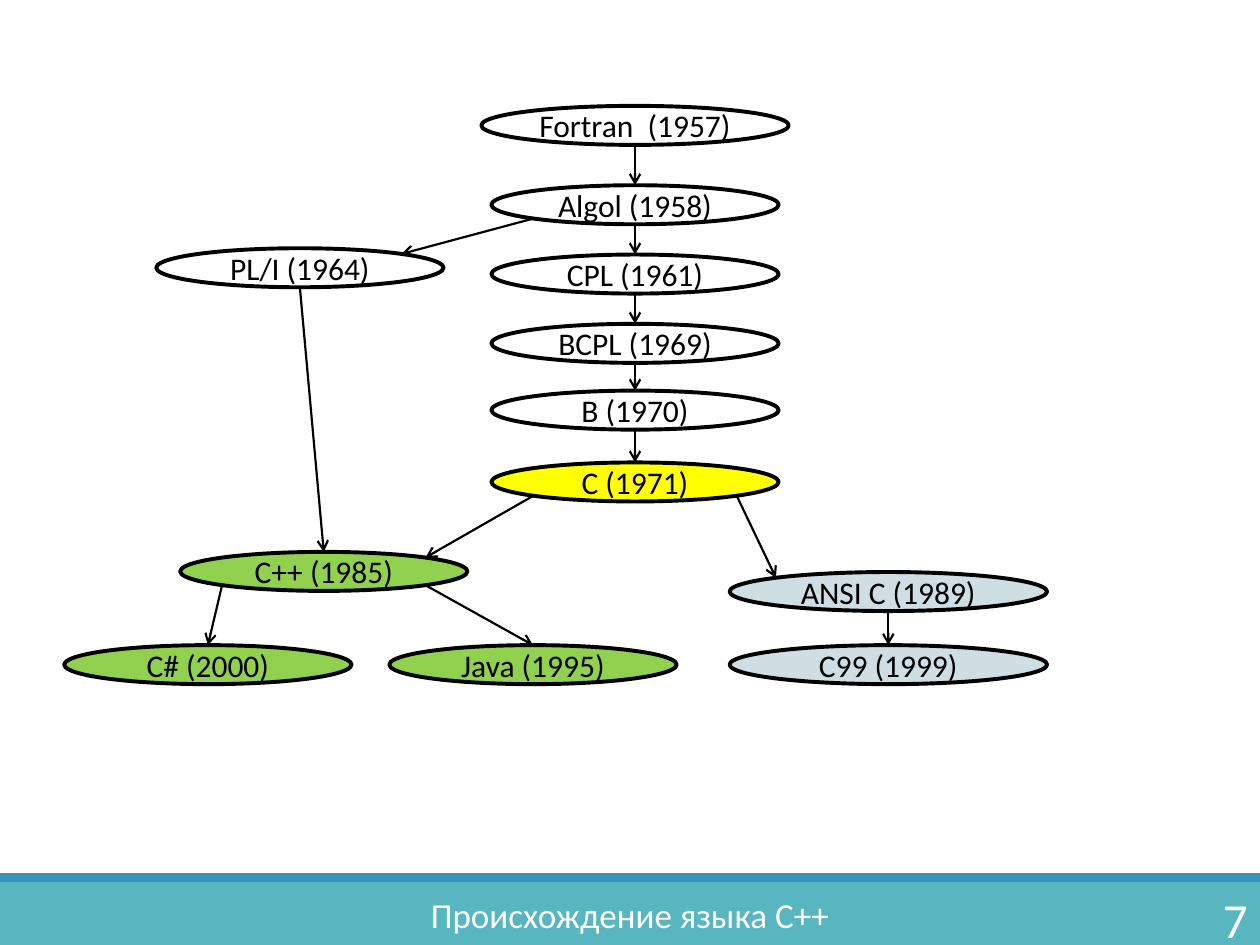
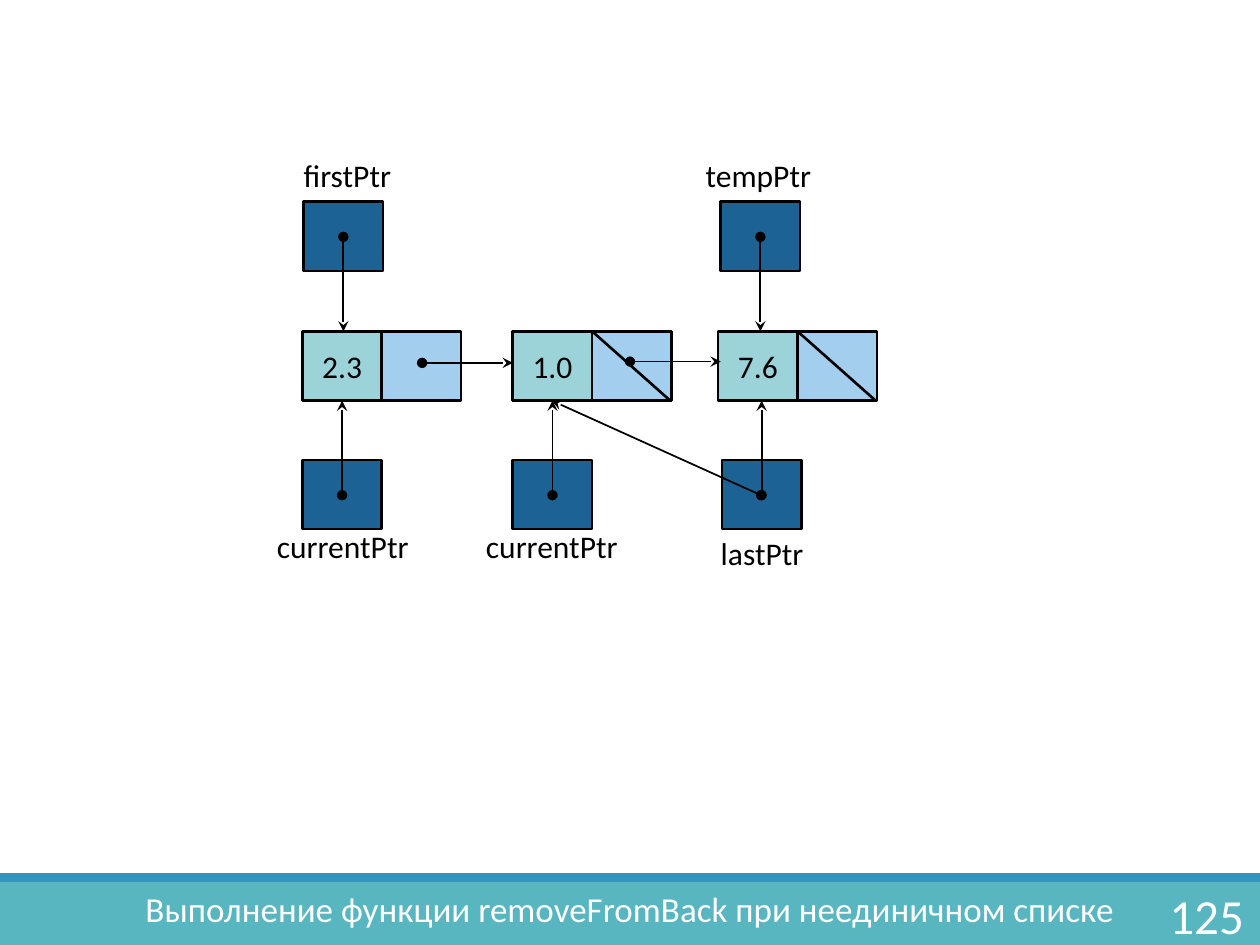
from lxml import etree
from pptx import Presentation
from pptx.dml.color import RGBColor
from pptx.enum.shapes import MSO_CONNECTOR, MSO_SHAPE
from pptx.enum.text import MSO_ANCHOR, PP_ALIGN
from pptx.oxml.ns import qn
from pptx.util import Emu, Pt

RECTANGLE, OVAL = MSO_SHAPE.RECTANGLE, MSO_SHAPE.OVAL
STRAIGHT = MSO_CONNECTOR.STRAIGHT
LEFT, CENTER, RIGHT = PP_ALIGN.LEFT, PP_ALIGN.CENTER, PP_ALIGN.RIGHT
TOP, MIDDLE = MSO_ANCHOR.TOP, MSO_ANCHOR.MIDDLE

EMU_PER_PX = 9144
SLIDE_WIDTH, SLIDE_HEIGHT = 1000, 750
FONT = "Calibri"
BLACK, WHITE = "000000", "FFFFFF"
BAND, STRIPE = "58B6C0", "3494BA"
YELLOW, GREEN, GRAY = "FFFF00", "92D050", "CEDEE2"
POINTER_FILL, VALUE_FILL, LINK_FILL = "1D6294", "9BD3D9", "A3CEED"
NO_MARGINS = dict.fromkeys(("margin_left", "margin_top", "margin_right", "margin_bottom"), 0)

OVAL_HEIGHT = 31
DIAGONAL = 0.146
SITES = {
    "top": (0.5, 0), "bottom": (0.5, 1),
    "top left": (DIAGONAL, DIAGONAL), "top right": (1 - DIAGONAL, DIAGONAL),
    "bottom left": (DIAGONAL, 1 - DIAGONAL), "bottom right": (1 - DIAGONAL, 1 - DIAGONAL),
}
LANGUAGES = {
    "Fortran": ("Fortran  (1957)", 382, 84, 244, WHITE),
    "Algol": ("Algol (1958)", 390, 147, 228, WHITE),
    "CPL": ("CPL (1961)", 390, 202, 228, WHITE),
    "BCPL": ("BCPL (1969)", 390, 257, 228, WHITE),
    "B": ("B (1970)", 390, 310, 228, WHITE),
    "C": ("C (1971)", 390, 367, 228, YELLOW),
    "PL/I": ("PL/I (1964)", 124, 197, 228, WHITE),
    "C++": ("C++ (1985)", 143, 438, 228, GREEN),
    "C#": ("C# (2000)", 51, 512, 228, GREEN),
    "ANSI C": ("ANSI C (1989)", 579, 454, 252, GRAY),
    "C99": ("C99 (1999)", 579, 512, 252, GRAY),
    "Java": ("Java (1995)", 309, 512, 228, GREEN),
}
DESCENTS = [
    ("Fortran", "bottom", "Algol", "top"),
    ("Algol", "bottom", "CPL", "top"),
    ("CPL", "bottom", "BCPL", "top"),
    ("BCPL", "bottom", "B", "top"),
    ("B", "bottom", "C", "top"),
    ("Algol", "bottom left", "PL/I", "top right"),
    ("C", "bottom left", "C++", "top right"),
    ("PL/I", "bottom", "C++", "top"),
    ("C++", "bottom left", "C#", "top"),
    ("C", "bottom right", "ANSI C", "top left"),
    ("ANSI C", "bottom", "C99", "top"),
    ("C++", "bottom right", "Java", "top"),
]

CELL_WIDTH, CELL_HEIGHT = 63, 55
NODE_TOP, UPPER_TOP, LOWER_TOP = 263, 160, 365
NODES = [("2.3", 240, False), ("1.0", 407, True), ("7.6", 570, True)]
POINTERS = [
    ("firstPtr", 241, UPPER_TOP, (241, 111, 78), LEFT),
    ("tempPtr", 572, UPPER_TOP, (555, 111, 94), CENTER),
    ("currentPtr", 240, LOWER_TOP, (201, 406, 142), CENTER),
    ("currentPtr", 407, LOWER_TOP, (367, 406, 142), CENTER),
    ("lastPtr", 573, LOWER_TOP, (572, 411, 78), LEFT),
]
LINKS = [
    ((335, 288), (407, 288)),
    ((500, 287), (572, 287)),
    ((604, 393), (438, 318)),
]


def px(*lengths):
    """Convert pixel lengths to EMU."""
    return [Emu(round(length * EMU_PER_PX)) for length in lengths]


def color(value):
    """Turn a hex string into a colour."""
    return RGBColor.from_string(value)


def apply(target, formats):
    """Set each attribute named in a dict of format values."""
    for name, value in formats.items():
        setattr(target, name, value)


def write(shape, text, size=18, ink=BLACK, align=CENTER, **frame_formats):
    """Put one formatted line of text into a shape."""
    frame = shape.text_frame
    apply(frame, {"word_wrap": True, "vertical_anchor": MIDDLE, **frame_formats})
    paragraph = frame.paragraphs[0]
    paragraph.alignment = align
    run = paragraph.add_run()
    run.text = text
    apply(run.font, {"name": FONT, "size": Pt(size)})
    run.font.color.rgb = color(ink)


def add_box(slide, kind, bounds, fill, line_width=None):
    """Add a filled preset shape, outlined in black if a width is given."""
    shape = slide.shapes.add_shape(kind, *px(*bounds))
    shape.shadow.inherit = False
    shape.fill.solid()
    shape.fill.fore_color.rgb = color(fill)
    if line_width is None:
        shape.line.fill.background()
    else:
        shape.line.color.rgb = color(BLACK)
        shape.line.width = Pt(line_width)
    return shape


def add_label(slide, bounds, text, **formats):
    """Add a text box."""
    write(slide.shapes.add_textbox(*px(*bounds)), text, **formats)


def add_line(slide, start, end, width, **ends):
    """Add a straight black line with optional headEnd and tailEnd types."""
    connector = slide.shapes.add_connector(STRAIGHT, *px(*start, *end))
    connector.line.color.rgb = color(BLACK)
    connector.line.width = Pt(width)
    properties = connector._element.spPr
    outline = properties.find(qn("a:ln"))
    for name, kind in ends.items():
        etree.SubElement(outline, qn(f"a:{name}"), type=kind)
    etree.SubElement(properties, qn("a:effectLst"))


def add_pointer_arrow(slide, start, end):
    """Add an arrow that starts at a dot."""
    add_line(slide, start, end, 1, headEnd="oval", tailEnd="stealth")


def add_banded_slide(presentation, title, title_bounds, number, number_corner):
    """Add a blank slide with the bottom bands, title and page number."""
    slide = presentation.slides.add_slide(presentation.slide_layouts[6])
    add_box(slide, RECTANGLE, (0, 700, SLIDE_WIDTH, 50), BAND)
    add_box(slide, RECTANGLE, (0, 693, SLIDE_WIDTH, 7), STRIPE)
    add_label(slide, title_bounds, title, size=20, ink=WHITE,
              vertical_anchor=TOP, **NO_MARGINS)
    add_label(slide, (*number_corner, 108, 40), number, size=28, ink=WHITE, align=RIGHT)
    return slide


def language_site(name, site):
    """Return the point of a language oval where an arrow attaches."""
    _, left, top, width, _ = LANGUAGES[name]
    across, down = SITES[site]
    return left + width * across, top + OVAL_HEIGHT * down


def add_language_tree(slide):
    """Draw the language ovals and their descent arrows."""
    for text, left, top, width, fill in LANGUAGES.values():
        oval = add_box(slide, OVAL, (left, top, width, OVAL_HEIGHT), fill, 2.25)
        write(oval, text, word_wrap=False)
    for parent, parent_site, child, child_site in DESCENTS:
        add_line(slide, language_site(parent, parent_site),
                 language_site(child, child_site), 1.25, tailEnd="arrow")


def add_node(slide, value, left, ends_list):
    """Draw a list node: a value cell and a link cell, crossed out if null."""
    middle = left + CELL_WIDTH
    cell = add_box(slide, RECTANGLE, (left, NODE_TOP, CELL_WIDTH, CELL_HEIGHT), VALUE_FILL, 1.5)
    write(cell, value, **NO_MARGINS)
    add_box(slide, RECTANGLE, (middle, NODE_TOP, CELL_WIDTH, CELL_HEIGHT), LINK_FILL, 1.5)
    if ends_list:
        add_line(slide, (middle, NODE_TOP),
                 (middle + CELL_WIDTH - 1, NODE_TOP + CELL_HEIGHT), 1.5)


def add_pointer(slide, name, left, top, label_bounds, align):
    """Draw a named pointer box with an arrow to the node row."""
    add_box(slide, RECTANGLE, (left, top, CELL_WIDTH, CELL_HEIGHT), POINTER_FILL, 1.5)
    add_label(slide, (*label_bounds, CELL_HEIGHT), name, align=align, **NO_MARGINS)
    center = left + CELL_WIDTH / 2
    target = NODE_TOP if top < NODE_TOP else NODE_TOP + CELL_HEIGHT
    add_pointer_arrow(slide, (center, top + 28), (center, target))


def add_linked_list(slide):
    """Draw the nodes, the pointers and the links between them."""
    for node in NODES:
        add_node(slide, *node)
    for pointer in POINTERS:
        add_pointer(slide, *pointer)
    for start, end in LINKS:
        add_pointer_arrow(slide, start, end)


def main():
    """Build and save the presentation."""
    presentation = Presentation()
    presentation.slide_width, presentation.slide_height = px(SLIDE_WIDTH, SLIDE_HEIGHT)
    add_language_tree(add_banded_slide(
        presentation, "Происхождение языка C++", (311, 709, 378, 34), "7", (892, 709)))
    add_linked_list(add_banded_slide(
        presentation, "Выполнение функции removeFromBack при неединичном списке",
        (0, 704, SLIDE_WIDTH, 34), "125", (889, 706)))
    presentation.save("out.pptx")


if __name__ == "__main__":
    main()
